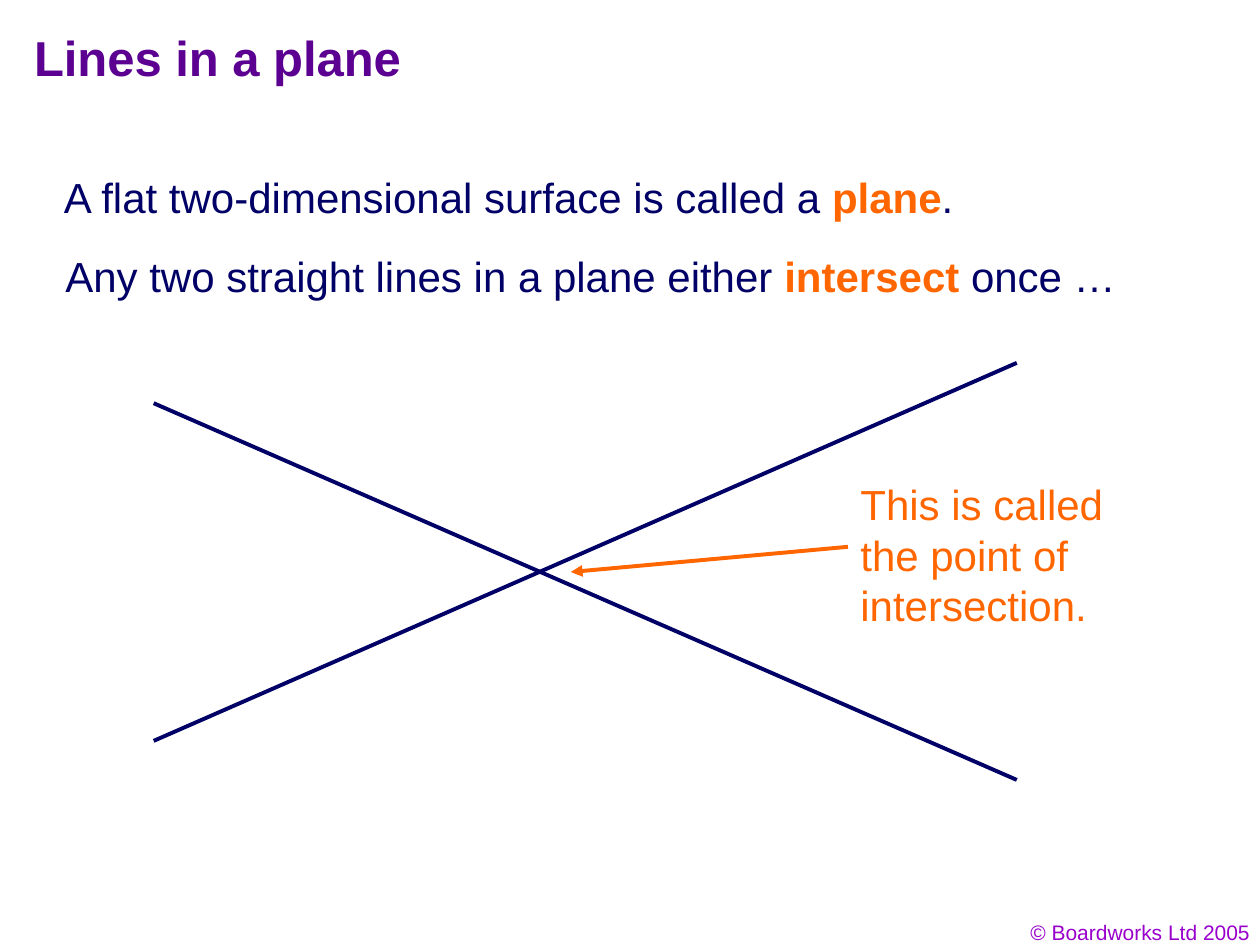
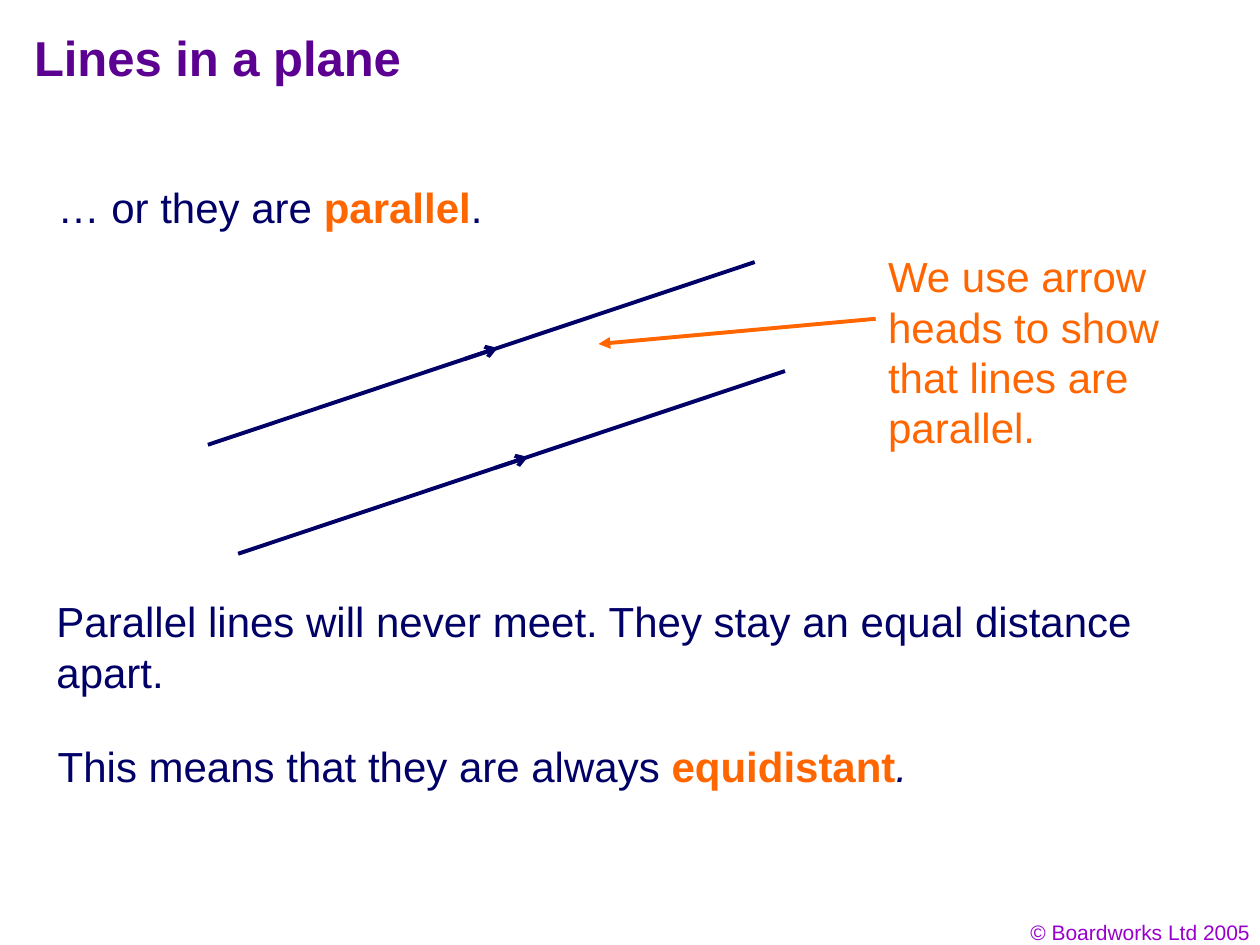
from pptx import Presentation, util as u
from pptx.dml.color import RGBColor
from pptx.enum import shapes, text
from lxml import etree

COLS, ROWS = 100, 75
CELL = u.Inches(0.1)
INK = {"title": "5B0091", "body": "000066", "key": "FF6600", "foot": "9900CC"}
FONT = "Arial"
LEFT, RIGHT = text.PP_ALIGN.LEFT, text.PP_ALIGN.RIGHT


def cells(*nums):
    """Turn grid counts into slide lengths."""
    return [u.Emu(round(n * CELL)) for n in nums]


def place(shape, area):
    """Set left, top, width and height in grid cells."""
    shape.left, shape.top, shape.width, shape.height = cells(*area)


def write(shape, words, size=24, ink="body", bold=False, align=LEFT, slant=False):
    """Fill a shape with text; *starred* words are keys, slant tilts the last run."""
    frame = shape.text_frame
    frame.word_wrap = True
    frame.auto_size = text.MSO_AUTO_SIZE.NONE
    frame.vertical_anchor = text.MSO_ANCHOR.TOP
    para = frame.paragraphs[0]
    para.alignment = align
    parts = words.split("*")
    for n, part in enumerate(parts):
        key = n % 2 == 1
        run = para.add_run()
        run.text = part
        font = run.font
        font.name, font.size = FONT, u.Pt(size)
        font.bold = bold or key
        font.italic = slant and n == len(parts) - 1
        font.color.rgb = RGBColor.from_string(INK["key" if key else ink])


def label(slide, words, area, **look):
    """Add a text box on the grid."""
    box = slide.shapes.add_textbox(0, 0, 0, 0)
    place(box, area)
    write(box, words, **look)


def line(slide, start, end, ink="body", head=None):
    """Draw a straight line, with an arrowhead at its end if named."""
    link = slide.shapes.add_connector(
        shapes.MSO_CONNECTOR.STRAIGHT, *cells(*start, *end))
    link.line.width = u.Pt(2.25)
    link.line.color.rgb = RGBColor.from_string(INK[ink])
    space = "{http://schemas.openxmlformats.org/drawingml/2006/main}"
    if head:
        etree.SubElement(link.line._ln, space + "tailEnd", type=head)
    etree.SubElement(link._element.spPr, space + "effectLst")


def along(start, end, share):
    """Find the point at a share of the way along a line."""
    return tuple(a + (b - a) * share for a, b in zip(start, end))


def marked(slide, start, end):
    """Draw a line with a parallel mark at its middle."""
    line(slide, start, end)
    line(slide, along(start, end, 0.47), along(start, end, 0.53), head="arrow")


def callout(slide, words, area):
    """Add a note with an arrow leading left from it."""
    label(slide, words, area, ink="key")
    left, top = area[:2]
    line(slide, (left, top + 5.9), (left - 22, top + 7.9), "key", "triangle")


def start(deck):
    """Add a slide with the shared title and footer."""
    slide = deck.slides.add_slide(deck.slide_layouts[5])
    label(slide, "© Boardworks Ltd 2005", (76.9, 72.5, 23.3, 3),
          size=12, ink="foot", align=RIGHT)
    title = slide.shapes.title
    place(title, (1.7, 1.7, 85, 6.7))
    write(title, "Lines in a plane", size=28, ink="title", bold=True)
    return slide


def cross(deck):
    """Build the slide on lines that meet."""
    slide = start(deck)
    label(slide, "A flat two-dimensional surface is called a *plane*.",
          (4.1, 13.1, 92.3, 5))
    label(slide, "Any two straight lines in a plane either *intersect* once …",
          (4.2, 19.4, 92.3, 5))
    near, far = 12.2, 80.7
    line(slide, (far, 28.8), (near, 58.8))
    callout(slide, "This is called the point of intersection.",
            (67.3, 37.5, 22.2, 13))
    line(slide, (far, 61.9), (near, 32))


def level(deck):
    """Build the slide on lines that never meet."""
    slide = start(deck)
    label(slide, "… or they are *parallel*.", (3.6, 13.9, 45, 5))
    for across, down in ((0, 0), (2.4, 8.65)):
        marked(slide, (16.5 + across, 35.3 + down), (59.9 + across, 20.8 + down))
    callout(slide, "We use arrow heads to show that lines are parallel.",
            (69.5, 19.4, 26.2, 17))
    label(slide, "Parallel lines will never meet. "
          "They stay an equal distance apart.", (3.5, 46.8, 89, 9))
    label(slide, "This means that they are always *equidistant*.",
          (3.6, 58.3, 89, 5), slant=True)


def main():
    """Build and save the deck."""
    deck = Presentation()
    deck.slide_width, deck.slide_height = cells(COLS, ROWS)
    cross(deck)
    level(deck)
    deck.save("out.pptx")


if __name__ == "__main__":
    main()
